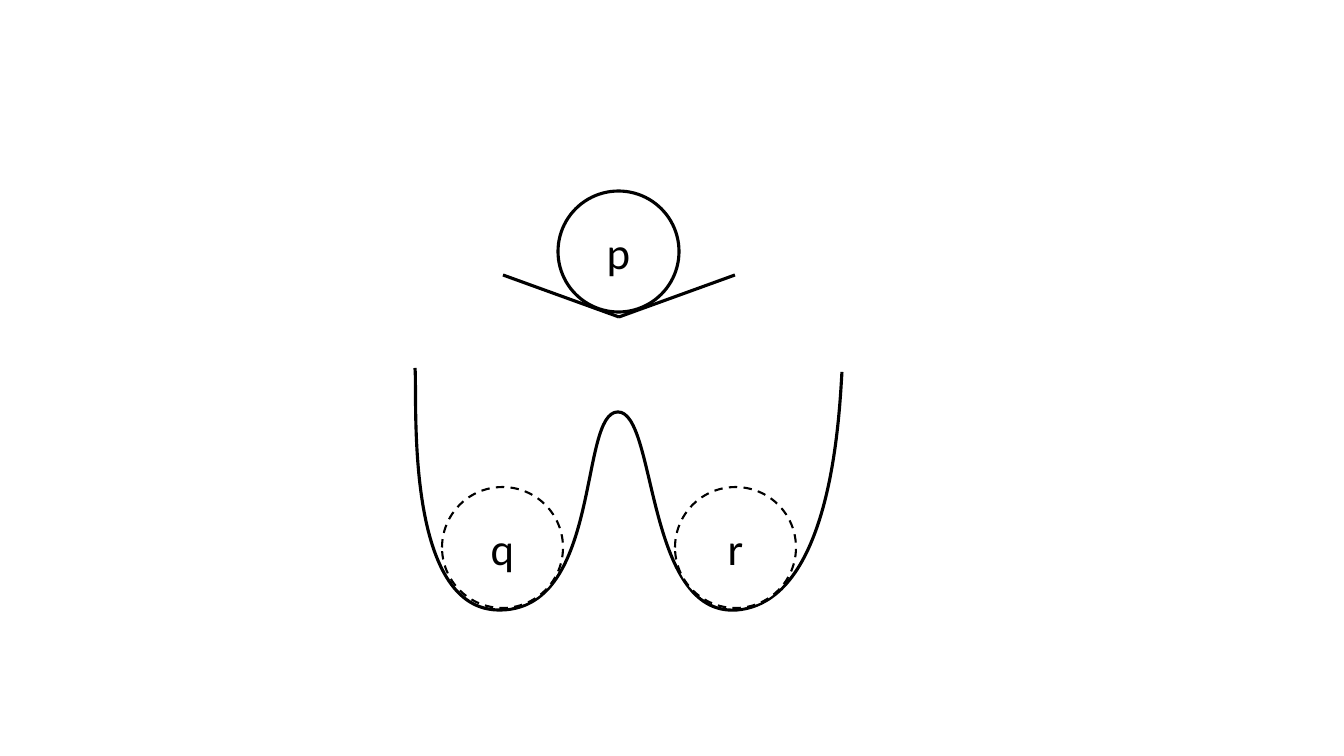
"""Draw a ball on a ledge above a double well."""
from lxml.etree import SubElement
from pptx import Presentation
from pptx.dml.color import RGBColor
from pptx.enum.dml import MSO_LINE
from pptx.enum.shapes import MSO_CONNECTOR, MSO_SHAPE
from pptx.enum.text import MSO_ANCHOR, PP_ALIGN
from pptx.oxml.ns import qn
from pptx.util import Pt

SCALE = 914400 / 100.8
SIDE = 121
BLACK, WHITE = "000000", "FFFFFF"
WELL = [
    (842, 372), (839, 423), (830, 602), (737, 610),
    (645, 617), (657, 412), (618, 412),
    (579, 412), (602, 607), (502, 610),
    (402, 614), (418, 393), (415, 368),
]


def px(size):
    return round(size * SCALE)


def paint(part, tint):
    part.rgb = RGBColor.from_string(tint)


def stroke(line, width=2.25, dash=None):
    line.width = Pt(width)
    line.fill.solid()
    paint(line.fill.fore_color, BLACK)
    if dash:
        line.dash_style = dash


def write(shape, text, size=32, font="Calibri", tint=BLACK):
    frame = shape.text_frame
    frame.vertical_anchor = MSO_ANCHOR.MIDDLE
    row = frame.paragraphs[0]
    row.alignment = PP_ALIGN.CENTER
    run = row.add_run()
    run.text = text
    run.font.size = Pt(size)
    run.font.name = font
    paint(run.font.color, tint)


def add_ball(slide, text, left, top, **line):
    ball = slide.shapes.add_shape(
        MSO_SHAPE.OVAL, px(left), px(top), px(SIDE), px(SIDE))
    ball.shadow.inherit = False
    ball.fill.solid()
    paint(ball.fill.fore_color, WHITE)
    stroke(ball.line, **line)
    write(ball, text)


def add_line(slide, start, end):
    line = slide.shapes.add_connector(
        MSO_CONNECTOR.STRAIGHT, *map(px, start + end))
    stroke(line.line)
    SubElement(line.element.spPr, qn("a:effectLst"))


def add_curve(slide, nodes):
    ends = nodes[::3]
    left, top = map(min, zip(*ends))
    pen = slide.shapes.build_freeform(*ends[0], scale=SCALE)
    pen.add_line_segments(ends[1:], close=False)
    curve = pen.convert_to_shape()
    legs = list(curve.element.iter(qn("a:lnTo")))
    for order, leg in enumerate(legs):
        leg.tag = qn("a:cubicBezTo")
        leg.remove(leg[0])
        for x, y in nodes[3 * order + 1:3 * order + 4]:
            SubElement(leg, qn("a:pt"), x=str(x - left), y=str(y - top))
    curve.shadow.inherit = False
    curve.fill.background()
    stroke(curve.line)


def main():
    deck = Presentation()
    deck.slide_width, deck.slide_height = px(1344), px(756)
    slide = deck.slides.add_slide(deck.slide_layouts[6])
    add_ball(slide, "p", 558, 191)
    for edge in (503, 735):
        add_line(slide, (edge, 275), (619, 317))
    add_curve(slide, WELL)
    for text, left in (("q", 442), ("r", 675)):
        add_ball(slide, text, left, 487, width=1.5, dash=MSO_LINE.DASH)
    deck.save("out.pptx")


if __name__ == "__main__":
    main()
